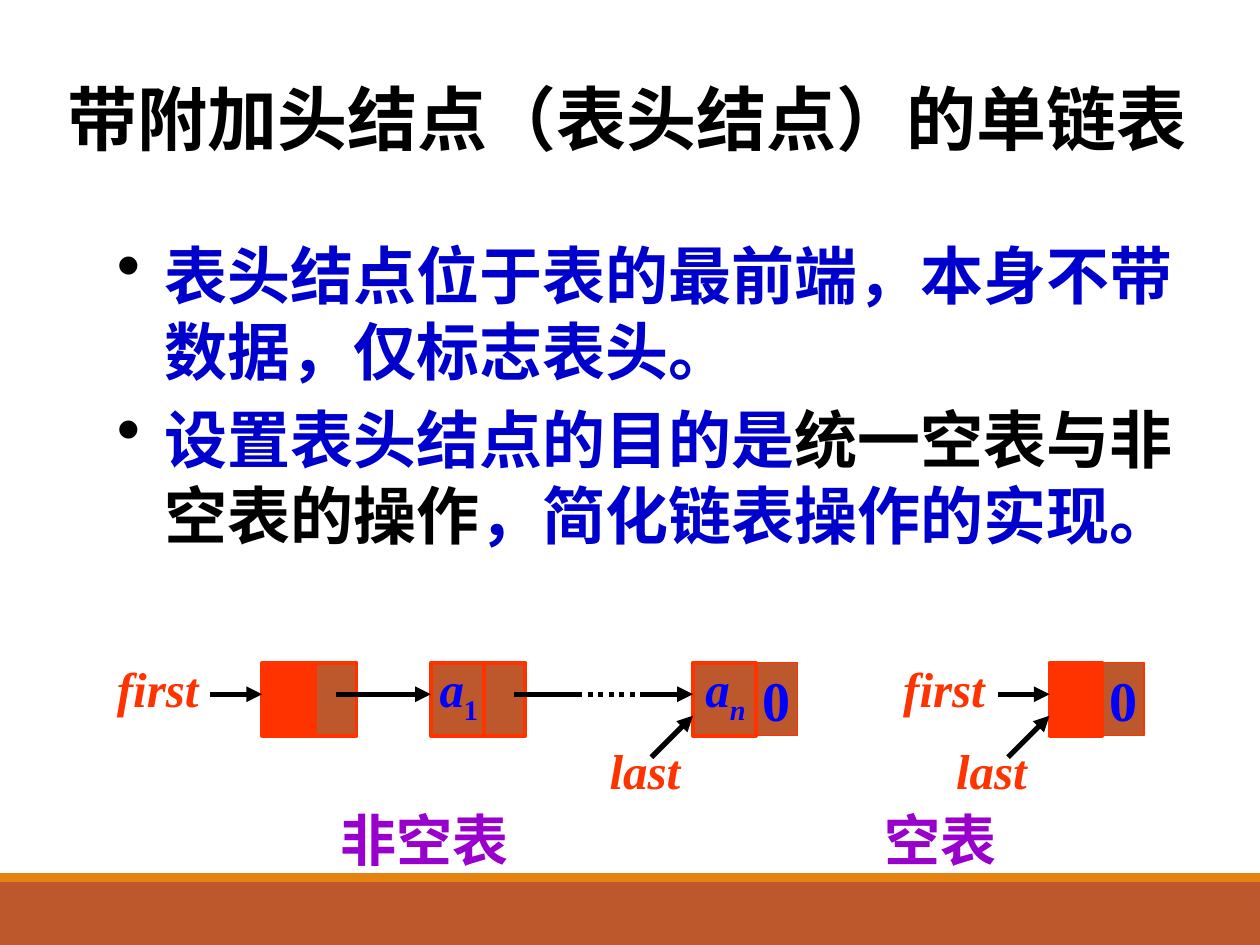
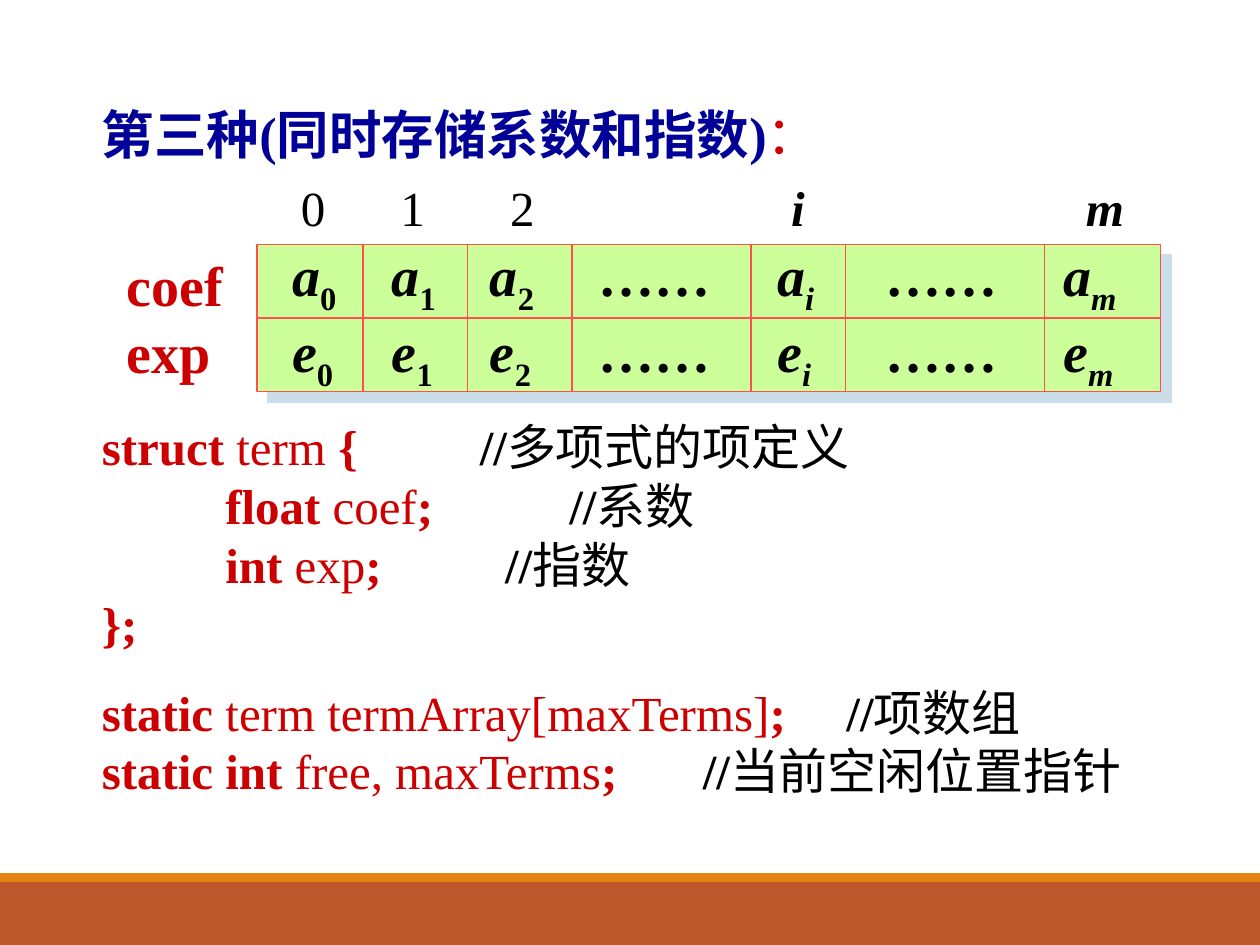
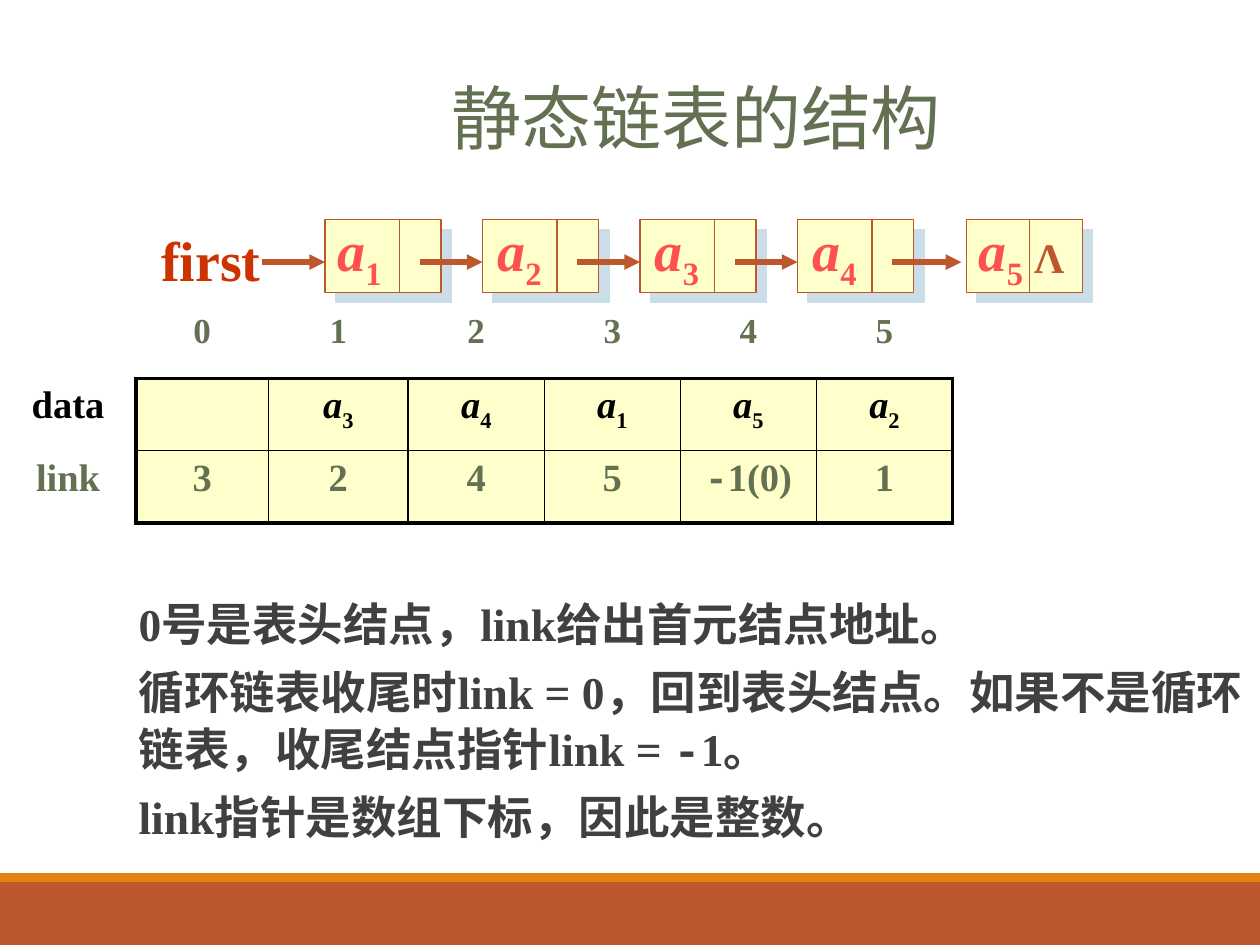
from dataclasses import dataclass, replace
from typing import NamedTuple, Optional, Sequence

from lxml.etree import SubElement
from pptx import Presentation
from pptx.dml.color import RGBColor
from pptx.enum.dml import MSO_LINE
from pptx.enum.shapes import MSO_CONNECTOR, MSO_SHAPE
from pptx.enum.text import MSO_ANCHOR, PP_ALIGN
from pptx.oxml.ns import qn
from pptx.util import Inches, Pt

COLORS = {
    "rust": "BD582C", "orange": "E48312", "black": "000000", "blue": "0000CC",
    "bright_blue": "0000FF", "navy": "000099", "purple": "9900CC", "flame": "FF3300",
    "red": "CC0000", "brick": "CC3300", "coral": "FF5050", "lime": "CCFF99",
    "cream": "FFFFCC", "shade": "CCDDEA", "olive": "637052", "gray": "404040",
}
SERIF = "Times New Roman"


@dataclass(frozen=True)
class Style:
    """Character style shared by a paragraph."""
    size: float
    color: str
    bold: bool = True
    italic: bool = False
    font: str = SERIF


class Run(NamedTuple):
    """Text with its departures from the paragraph style."""
    text: str
    color: Optional[str] = None
    bold: Optional[bool] = None
    italic: Optional[bool] = None
    font: Optional[str] = None
    subscript: bool = False


class Para(NamedTuple):
    """Paragraph with its style, spacing and tab stops."""
    runs: Sequence[Run]
    style: Style
    before: float = 0
    after: float = 0
    spacing: Optional[float] = None
    align: PP_ALIGN = PP_ALIGN.LEFT
    tabs: Sequence[float] = ()
    margin: float = 0
    bullet: bool = False


class Box(NamedTuple):
    """Left, top, width and height in inches."""
    left: float
    top: float
    width: float
    height: float


def rgb(name: str) -> RGBColor:
    """Look up a named colour."""
    return RGBColor.from_string(COLORS[name])


def emus(values: Sequence[float]) -> list:
    """Convert inches to lengths."""
    return [Inches(value) for value in values]


def indexed(letter: str, index: str, italic_index: bool = False) -> list:
    """Build a variable with its subscript."""
    return [Run(letter, italic=True), Run(index, italic=italic_index, subscript=True)]


def write(frame, paras: Sequence[Para]) -> None:
    """Fill a text frame with paragraphs."""
    for position, para in enumerate(paras):
        line = frame.paragraphs[0] if position == 0 else frame.add_paragraph()
        line.alignment = para.align
        line.space_before, line.space_after = Pt(para.before), Pt(para.after)
        if para.spacing:
            line.line_spacing = para.spacing
        props = line._p.get_or_add_pPr()
        if para.margin:
            props.set("marL", str(Inches(para.margin)))
        if para.bullet:
            props.set("indent", str(-Inches(para.margin)))
            bullet_color = SubElement(props, qn("a:buClr"))
            SubElement(bullet_color, qn("a:srgbClr"), val=COLORS["black"])
            SubElement(props, qn("a:buSzPct"), val="110000")
            SubElement(props, qn("a:buChar"), char="•")
        if para.tabs:
            stops = SubElement(props, qn("a:tabLst"))
            for stop in emus(para.tabs):
                SubElement(stops, qn("a:tab"), pos=str(stop), algn="l")
        base = para.style
        line.font.size, line.font.name = Pt(base.size), base.font
        line.font.bold, line.font.italic = base.bold, base.italic
        line.font.color.rgb = rgb(base.color)
        for part in para.runs:
            run = line.add_run()
            run.text = part.text
            if part.color:
                run.font.color.rgb = rgb(part.color)
            if part.bold is not None:
                run.font.bold = part.bold
            if part.italic is not None:
                run.font.italic = part.italic
            if part.font:
                run.font.name = part.font
            if part.subscript:
                run._r.get_or_add_rPr().set("baseline", "-25000")


def add_text(slide, box: Box, paras: Sequence[Para], wrap: bool = False,
             anchor: MSO_ANCHOR = MSO_ANCHOR.TOP, side: float = 0.1) -> None:
    """Place a text box."""
    frame = slide.shapes.add_textbox(*emus(box)).text_frame
    frame.word_wrap, frame.vertical_anchor = wrap, anchor
    frame.margin_left = frame.margin_right = Inches(side)
    write(frame, paras)


def add_label(slide, box: Box, runs: Sequence[Run], style: Style) -> None:
    """Place a one-line label."""
    add_text(slide, box, [Para(runs, style)])


def add_rect(slide, box: Box, fill: str, border: Optional[str] = None,
             weight: float = 0.75, shadow: bool = False):
    """Place a rectangle, with an offset shadow on request."""
    rect = slide.shapes.add_shape(MSO_SHAPE.RECTANGLE, *emus(box))
    rect.shadow.inherit = False
    rect.fill.solid()
    rect.fill.fore_color.rgb = rgb(fill)
    if border:
        rect.line.color.rgb = rgb(border)
        rect.line.width = Pt(weight)
    else:
        rect.line.fill.background()
    if shadow:
        effects = rect._element.spPr.find(qn("a:effectLst"))
        outer = SubElement(effects, qn("a:outerShdw"), dist=str(Pt(8.5)),
                           dir="2700000", algn="ctr", rotWithShape="0")
        SubElement(outer, qn("a:srgbClr"), val=COLORS["shade"])
    return rect


def add_line(slide, start: tuple, end: tuple, color: str = "black", weight: float = 3,
             arrow: bool = False, dotted: bool = False):
    """Draw a straight line or arrow."""
    line = slide.shapes.add_connector(MSO_CONNECTOR.STRAIGHT, *emus(start + end))
    line.line.color.rgb = rgb(color)
    line.line.width = Pt(weight)
    if dotted:
        line.line.dash_style = MSO_LINE.ROUND_DOT
    if arrow:
        SubElement(line.line._get_or_add_ln(), qn("a:tailEnd"), type="triangle")
    SubElement(line._element.spPr, qn("a:effectLst"))
    return line


def new_slide(deck):
    """Add a blank slide with the footer bands."""
    slide = deck.slides.add_slide(deck.slide_layouts[6])
    add_rect(slide, Box(0, 7, 10, 0.5), "rust")
    add_rect(slide, Box(0, 6.93, 10, 0.07), "orange")
    return slide


NODE_TOP, NODE_HEIGHT, DATA_WIDTH, LINK_WIDTH = 5.26, 0.58, 0.42, 0.33
POINTER = Style(28, "flame", italic=True)
ELEMENT = Style(28, "bright_blue")


def add_node(slide, left: float, data_fill: str = "rust",
             data_width: float = DATA_WIDTH, null: bool = False) -> None:
    """Draw a list node with data and link fields."""
    link = add_rect(slide, Box(left + data_width, NODE_TOP, LINK_WIDTH, NODE_HEIGHT),
                    "rust", "flame", 0.75 if null else 2.25)
    if null:
        link.text_frame.word_wrap = False
        link.text_frame.vertical_anchor = MSO_ANCHOR.MIDDLE
        write(link.text_frame, [Para([Run("0")], Style(32, "bright_blue"),
                                     align=PP_ALIGN.CENTER)])
    add_rect(slide, Box(left, NODE_TOP, data_width, NODE_HEIGHT), data_fill, "flame", 2.25)


def add_last_pointer(slide, node_left: float, label_left: float) -> None:
    """Point the last label at a node."""
    add_line(slide, (node_left - 0.33, 6.01), (node_left, 5.68), arrow=True)
    add_label(slide, Box(label_left, 5.83, 0.76, 0.57), [Run("last")], POINTER)


def build_head_node_slide(deck) -> None:
    """Build the slide on lists with a head node."""
    slide = new_slide(deck)
    heading = Style(40, "black", font="Calibri")
    add_text(slide, Box(0.35, 0.52, 9.25, 0.83),
             [Para([Run("带附加头结点（表头结点）的单链表")], heading, align=PP_ALIGN.CENTER)],
             wrap=True, anchor=MSO_ANCHOR.MIDDLE)
    point = Para([Run("表头结点位于表的最前端，本身不带数据，仅标志表头。")],
                 Style(36, "blue", font="Calibri"), margin=0.38, bullet=True)
    purpose = [Run("设置表头结点的目的是"), Run("统一空表与非空表的操作", "black"),
               Run("，简化链表操作的实现。")]
    add_text(slide, Box(0.83, 1.83, 8.75, 2.67),
             [point, point._replace(runs=purpose, before=7.2)], wrap=True)
    add_text(slide, Box(2.58, 6.34, 6.19, 0.66),
             [Para([Run("非空表\t空表")], Style(32, "purple", font="Noto Sans CJK SC"),
                   tabs=[4.32])], wrap=True, side=0.12)

    add_node(slide, 2.08, "flame")
    add_node(slide, 3.42)
    add_node(slide, 5.5, data_width=0.5, null=True)
    add_node(slide, 8.33, "flame", null=True)
    add_label(slide, Box(3.39, 5.18, 0.53, 0.57), indexed("a", "1"), ELEMENT)
    add_label(slide, Box(5.5, 5.18, 0.57, 0.57), indexed("a", "n", True), ELEMENT)

    for start, end in [(1.67, 2.08), (2.67, 3.42), (5.08, 5.5), (7.92, 8.33)]:
        add_line(slide, (start, 5.51), (end, 5.51), arrow=True)
    add_line(slide, (4.08, 5.51), (4.58, 5.51))
    add_line(slide, (4.58, 5.51), (5.08, 5.51), dotted=True)
    for left in (0.83, 7.07):
        add_label(slide, Box(left, 5.18, 0.85, 0.57), [Run("first")], POINTER)
    add_last_pointer(slide, 5.5, 4.74)
    add_last_pointer(slide, 8.33, 7.49)


def code_line(parts: Sequence[tuple], comment: str = "", tabs: Sequence[float] = (),
              before: float = 0) -> Para:
    """Compose a code line from (keyword, plain) pairs and a comment."""
    runs = []
    for keyword, plain in parts:
        runs += [Run(keyword, bold=True), Run(plain)] if plain else [Run(keyword, bold=True)]
    if comment:
        runs += [Run("\t//", "black", True), Run(comment, "black")]
    return Para(runs, Style(28, "red", bold=False), before, tabs=tabs)


def build_polynomial_slide(deck) -> None:
    """Build the slide on storing coefficients and exponents."""
    slide = new_slide(deck)
    indent = 0.98
    add_text(slide, Box(0.71, 0.76, 8.72, 5.69), [
        Para([Run("第三种(同时存储系数和指数)"), Run("：", "red", False)], Style(30, "navy")),
        code_line([("struct ", "term "), ("{", "")], "多项式的项定义", [3], before=144),
        code_line([("\tfloat ", "coef"), (";", "")], "系数", [indent, 3.71]),
        code_line([("\tint ", "exp"), (";", "")], "指数", [indent, 3.2]),
        code_line([("};", "")]),
        code_line([("static ", "term termArray[maxTerms]"), (";", "")], "项数组", [5.91],
                  before=17),
        code_line([("static int", " free, maxTerms"), (";", "")], "当前空闲位置指针", [4.77]),
    ], wrap=True)

    left, top, right, bottom = 2.04, 1.94, 9.21, 3.11
    middle = (top + bottom) / 2
    grid = add_rect(slide, Box(left, top, right - left, bottom - top), "lime", "coral",
                    shadow=True)
    for x in (2.88, 3.71, 4.54, 5.96, 6.71, 8.29):
        add_line(slide, (x, top), (x, bottom), "coral", 0.75)
    divider = add_line(slide, (left, middle), (right, middle), "coral", 0.75)
    divider.begin_connect(grid, 1)
    divider.end_connect(grid, 3)

    rows = []
    for letter in "ae":
        runs = []
        for index in ("0", "1", "2", "……", "i", "……", "m"):
            if runs:
                runs.append(Run("\t"))
            runs += [Run(index)] if index == "……" else indexed(letter, index, index.isalpha())
        rows.append(Para(runs, Style(32, "black"), tabs=[0.79, 1.57, 2.43, 3.85, 4.71, 6.12]))
    add_text(slide, Box(2.22, 1.86, 6.84, 1.17), rows, wrap=True)
    names = Style(32, "red")
    add_text(slide, Box(0.91, 1.94, 0.97, 1.17),
             [Para([Run(name)], names) for name in ("coef", "exp")])
    add_text(slide, Box(2.29, 1.36, 6.74, 0.57),
             [Para([Run("0\t1\t2"), Run("\ti\tm", bold=True, italic=True)],
                   Style(28, "black", bold=False), tabs=[0.79, 1.66, 3.89, 6.23])], wrap=True)


def set_borders(cell, **weights: float) -> None:
    """Draw the given cell borders, hiding those with zero weight."""
    props = cell._tc.get_or_add_tcPr()
    for position, side in enumerate(("lnL", "lnR", "lnT", "lnB")):
        weight = weights[side]
        border = SubElement(props, qn(f"a:{side}"), w=str(Pt(weight)))
        props.insert(position, border)
        if weight:
            fill = SubElement(border, qn("a:solidFill"))
            SubElement(fill, qn("a:srgbClr"), val=COLORS["black"])
        else:
            SubElement(border, qn("a:noFill"))


def add_static_list_table(slide) -> None:
    """Place the table of array indexes, data and links."""
    order = (3, 4, 1, 5, 2)
    rows = [
        [[]] + [[Run(str(index))] for index in range(6)],
        [[Run("data", "black")], []] + [indexed("a", str(index)) for index in order],
        [[Run(text)] for text in ("link", "3", "2", "4", "5")]
        + [[Run("-", font="Courier New"), Run("1(0)")], [Run("1")]],
    ]
    widths = (1.08, 1.05, 1.11, 1.08, 1.08, 1.08, 1.08)
    table = slide.shapes.add_table(3, 7, *emus((0, 2.43, 7.58, 1.72))).table
    table.first_row = table.horz_banding = False
    for column, width in zip(table.columns, widths):
        column.width = Inches(width)
    normal = Style(22, "olive")
    styles = (replace(normal, size=20), replace(normal, color="black"), normal)
    for r, (row, style) in enumerate(zip(rows, styles)):
        for c, runs in enumerate(row):
            cell = table.cell(r, c)
            write(cell.text_frame, [Para(runs, style, align=PP_ALIGN.CENTER)])
            inside = r > 0 and c > 0
            if inside:
                cell.fill.solid()
                cell.fill.fore_color.rgb = rgb("cream")
                set_borders(cell, lnL=2.25 if c == 1 else 1, lnR=2.25 if c == 6 else 1,
                            lnT=2.25 if r == 1 else 1, lnB=2.25 if r == 2 else 1)
            else:
                cell.fill.background()
                set_borders(cell, lnL=0, lnR=2.25 if r and c == 0 else 0, lnT=0,
                            lnB=2.25 if r == 0 and c else 0)


def build_static_list_slide(deck) -> None:
    """Build the slide on the static linked list."""
    slide = new_slide(deck)
    heading = Style(40, "olive", bold=False, font="Calibri")
    add_text(slide, Box(1.05, 0.44, 8.95, 0.87),
             [Para([Run("静态链表的结构")], heading, spacing=0.85, align=PP_ALIGN.CENTER)],
             wrap=True, anchor=MSO_ANCHOR.BOTTOM)
    note = Para([Run("0号是表头结点，link给出首元结点地址。")], Style(26, "gray"),
                after=2, spacing=1.05, margin=0.1)
    ending = [Run("循环链表收尾时link = 0，回到表头结点。如果不是循环链表，收尾结点指针link = "),
              Run("-", font="Courier New"), Run("1。")]
    add_text(slide, Box(1, 4.66, 9, 2.56), [
        note,
        note._replace(runs=ending, before=3.9),
        note._replace(runs=[Run("link指针是数组下标，因此是整数。")], before=3.9),
    ], wrap=True, side=0)
    add_static_list_table(slide)

    top, height, link_y = 1.74, 0.58, 2.08
    lefts = (2.58, 3.83, 5.08, 6.33, 7.67)
    for number, left in enumerate(lefts, 1):
        last = number == len(lefts)
        split = left + (0.5 if last else 0.59)
        add_rect(slide, Box(left, top, 0.92, height), "cream", "rust", shadow=True)
        add_line(slide, (split, top), (split, top + height), "rust", 0.75)
        add_label(slide, Box(left + (0 if number in (1, 5) else 0.02), 1.66, 0.57, 0.63),
                  indexed("a", str(number)), Style(32, "coral"))
    for start, end in zip((2.08, 3.33, 4.58, 5.83, 7.08), lefts[:-1] + (7.63,)):
        add_line(slide, (start, link_y), (end, link_y), "rust", arrow=True)
    add_label(slide, Box(8.11, 1.79, 0.54, 0.5), [Run("Λ")], Style(24, "rust"))
    add_label(slide, Box(1.18, 1.74, 0.99, 0.63), [Run("first")], Style(32, "brick"))


def main() -> None:
    """Build the deck and save it."""
    deck = Presentation()
    deck.slide_width, deck.slide_height = Inches(10), Inches(7.5)
    build_head_node_slide(deck)
    build_polynomial_slide(deck)
    build_static_list_slide(deck)
    deck.save("out.pptx")


if __name__ == "__main__":
    main()
